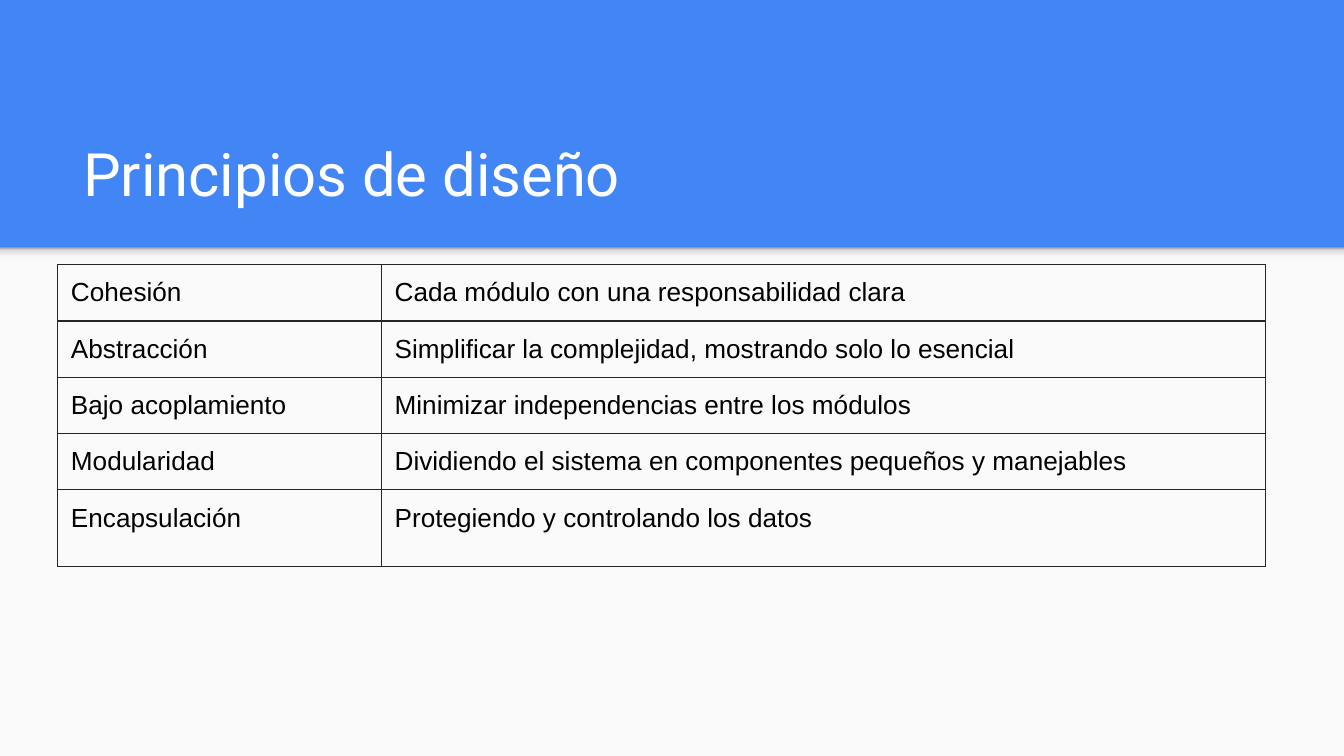
from lxml import etree
from pptx import Presentation
from pptx.dml.color import RGBColor
from pptx.enum import shapes, text
from pptx.oxml import ns
from pptx.util import Pt

TITLE = "Principios de diseño"
PRINCIPLES = [
    ("Cohesión", "Cada módulo con una responsabilidad clara"),
    ("Abstracción", "Simplificar la complejidad, mostrando solo lo esencial"),
    ("Bajo acoplamiento", "Minimizar independencias entre los módulos"),
    ("Modularidad", "Dividiendo el sistema en componentes pequeños y manejables"),
    ("Encapsulación", "Protegiendo y controlando los datos"),
]

BLUE = RGBColor(0x42, 0x85, 0xF4)
PAPER = RGBColor(0xFA, 0xFA, 0xFA)
WHITE = RGBColor(0xFF, 0xFF, 0xFF)
BLACK = RGBColor(0, 0, 0)
BORDER = RGBColor(0x26, 0x26, 0x26)
SHADE_STOPS = [
    (0, RGBColor(0xF9, 0xF9, 0xF9)),
    (36, RGBColor(0xF9, 0xF9, 0xF9)),
    (80, RGBColor(0xDE, 0xDE, 0xDE)),
    (100, RGBColor(0x99, 0x99, 0x99)),
]

WIDTH, HEIGHT = 720, 405
HEADER_HEIGHT = 132.5
SHADE_HEIGHT = 8.6
INSET = 7.2
TABLE_LEFT, TABLE_TOP = 30.8, 141.8
COLUMN_WIDTHS = [173.4, 473.8]
ROW_HEIGHT, LAST_ROW_HEIGHT = 30.1, 41.2


def add_band(slide, top, height):
    band = slide.shapes.add_shape(
        shapes.MSO_SHAPE.RECTANGLE, 0, Pt(top), Pt(WIDTH), Pt(height))
    band.shadow.inherit = False
    band.line.fill.background()
    return band


def add_child(parent, tag, **attributes):
    return etree.SubElement(parent, ns.qn(tag), **attributes)


def shade(band):
    """Fill the band with a gradient running from bottom to top."""
    band.fill.gradient()
    band.fill.gradient_angle = 90
    stops = band.fill._fill._gradFill.find(ns.qn("a:gsLst"))
    for stop in list(stops):
        stops.remove(stop)
    for position, color in SHADE_STOPS:
        stop = add_child(stops, "a:gs", pos=str(position * 1000))
        add_child(stop, "a:srgbClr", val=str(color))


def add_borders(cell):
    properties = cell._tc.get_or_add_tcPr()
    for side in ("a:lnL", "a:lnR", "a:lnT", "a:lnB"):
        line = add_child(properties, side, w=str(Pt(0.75)))
        fill = add_child(line, "a:solidFill")
        add_child(fill, "a:srgbClr", val=str(BORDER))


def set_insets(box):
    box.margin_left = box.margin_right = Pt(INSET)
    box.margin_top = box.margin_bottom = Pt(INSET)


def add_run(paragraph, content, font, size, color):
    run = paragraph.add_run()
    run.text = content
    run.font.name = font
    run.font.size = Pt(size)
    run.font.color.rgb = color


def add_title(slide):
    title = slide.shapes.title
    title.left, title.top = Pt(37.4), Pt(58.3)
    title.width, title.height = Pt(647.3), Pt(60.5)
    frame = title.text_frame
    frame.word_wrap = True
    frame.auto_size = text.MSO_AUTO_SIZE.NONE
    frame.vertical_anchor = text.MSO_ANCHOR.BOTTOM
    set_insets(frame)
    paragraph = frame.paragraphs[0]
    paragraph.alignment = text.PP_ALIGN.LEFT
    paragraph.line_spacing = 1.0
    paragraph.space_before = Pt(0)
    add_run(paragraph, TITLE, "Roboto", 32, WHITE)


def add_principles(slide):
    row_heights = [ROW_HEIGHT] * (len(PRINCIPLES) - 1) + [LAST_ROW_HEIGHT]
    table = slide.shapes.add_table(
        len(PRINCIPLES), len(COLUMN_WIDTHS), Pt(TABLE_LEFT), Pt(TABLE_TOP),
        Pt(sum(COLUMN_WIDTHS)), Pt(sum(row_heights))).table
    table.first_row = False
    table.horz_banding = False
    for column, width in zip(table.columns, COLUMN_WIDTHS):
        column.width = Pt(width)
    for row, height, contents in zip(table.rows, row_heights, PRINCIPLES):
        row.height = Pt(height)
        for cell, content in zip(row.cells, contents):
            set_insets(cell)
            add_borders(cell)
            cell.fill.background()
            add_run(cell.text_frame.paragraphs[0], content, "Arial", 14, BLACK)


def main():
    presentation = Presentation()
    presentation.slide_width, presentation.slide_height = Pt(WIDTH), Pt(HEIGHT)
    slide = presentation.slides.add_slide(presentation.slide_layouts[5])
    slide.background.fill.solid()
    slide.background.fill.fore_color.rgb = BLUE
    body = add_band(slide, HEADER_HEIGHT, HEIGHT - HEADER_HEIGHT)
    body.fill.solid()
    body.fill.fore_color.rgb = PAPER
    shade(add_band(slide, HEADER_HEIGHT, SHADE_HEIGHT))
    add_title(slide)
    add_principles(slide)
    presentation.save("out.pptx")


if __name__ == "__main__":
    main()
